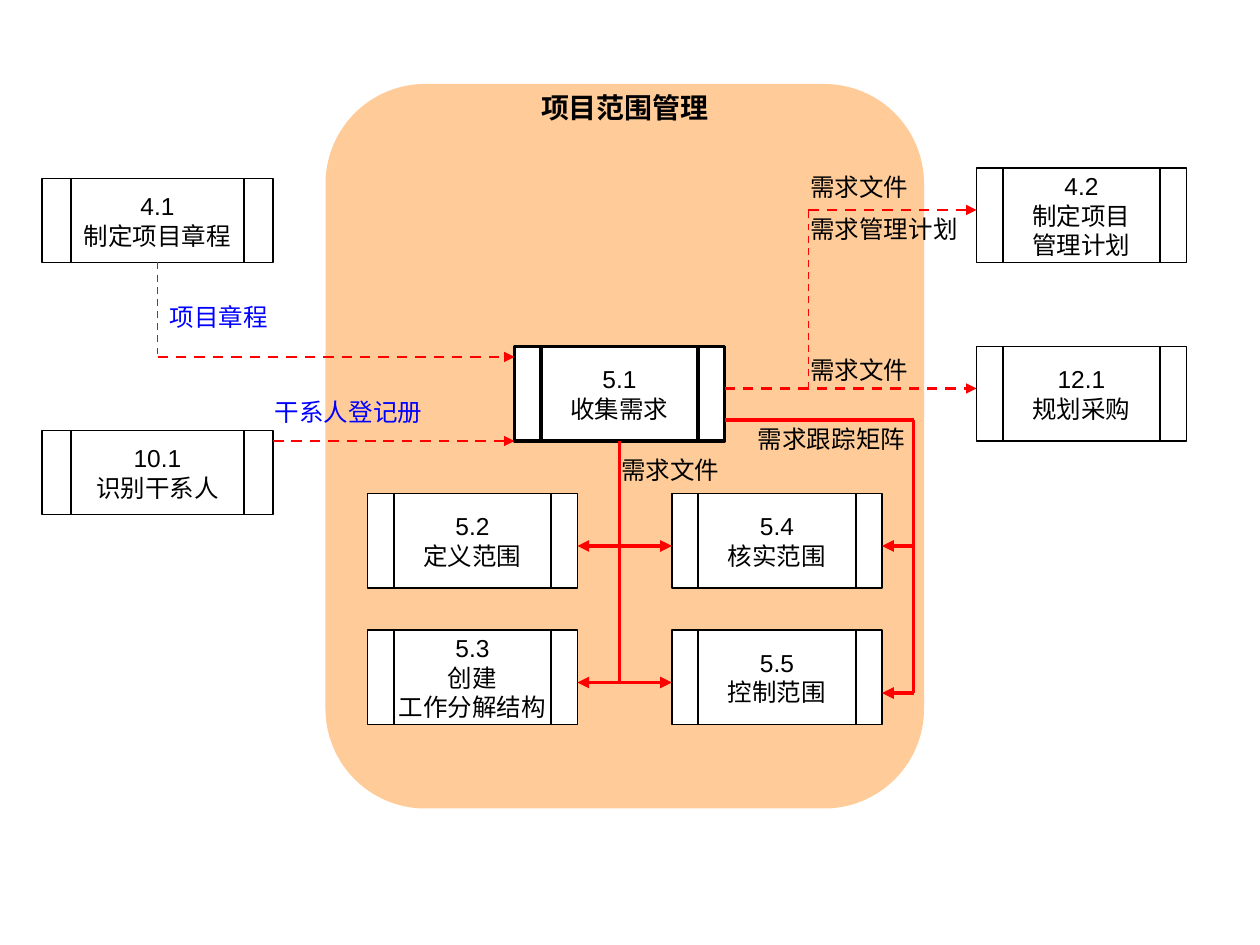
from dataclasses import dataclass
from typing import NamedTuple

from lxml.etree import SubElement
from pptx import Presentation
from pptx.dml.color import RGBColor
from pptx.enum.dml import MSO_LINE
from pptx.enum.shapes import MSO_CONNECTOR, MSO_SHAPE
from pptx.enum.text import MSO_ANCHOR, MSO_AUTO_SIZE, PP_ALIGN
from pptx.oxml.ns import qn
from pptx.slide import Slide
from pptx.text.text import _Paragraph
from pptx.util import Emu, Pt

EMU_PER_PX = 7620


@dataclass(frozen=True)
class Theme:
    font: str = "Arial"
    ink: RGBColor = RGBColor(0x00, 0x00, 0x00)
    paper: RGBColor = RGBColor(0xFF, 0xFF, 0xFF)
    panel: RGBColor = RGBColor(0xFF, 0xCC, 0x99)
    flow: RGBColor = RGBColor(0xFF, 0x00, 0x00)
    input: RGBColor = RGBColor(0x00, 0x00, 0xFF)
    title_size: int = 16
    body_size: int = 14


THEME = Theme()


class Box(NamedTuple):
    left: int
    top: int
    width: int
    height: int


class Process(NamedTuple):
    box: Box
    lines: tuple[str, ...]
    border: int = 1


class Flow(NamedTuple):
    start: tuple[int, int]
    end: tuple[int, int]
    weight: float
    dashed: bool = False
    start_arrow: bool = False
    end_arrow: bool = False


class Label(NamedTuple):
    left: int
    top: int
    text: str
    color: RGBColor = THEME.ink


def px(length: int) -> Emu:
    return Emu(length * EMU_PER_PX)


def inner(left: int, top: int) -> Box:
    return Box(left, top, 200, 90)


def outer(left: int, top: int) -> Box:
    return Box(left, top, 220, 80)


SCOPE_PANEL = Box(310, 80, 570, 690)
TITLE_BOX = Box(460, 80, 270, 44)
LEFT_COLUMN, RIGHT_COLUMN, UPPER_ROW, LOWER_ROW = 350, 640, 470, 600

PROCESSES = (
    Process(inner(930, 160), ("4.2", "制定项目", "管理计划")),
    Process(inner(930, 330), ("12.1", "规划采购")),
    Process(inner(490, 330), ("5.1", "收集需求"), border=2),
    Process(inner(LEFT_COLUMN, UPPER_ROW), ("5.2", "定义范围")),
    Process(inner(LEFT_COLUMN, LOWER_ROW), ("5.3", "创建", "工作分解结构")),
    Process(inner(RIGHT_COLUMN, UPPER_ROW), ("5.4", "核实范围")),
    Process(inner(RIGHT_COLUMN, LOWER_ROW), ("5.5", "控制范围")),
    Process(outer(40, 170), ("4.1", "制定项目章程")),
    Process(outer(40, 410), ("10.1", "识别干系人")),
)

FLOWS = (
    Flow((150, 250), (150, 340), 1, dashed=True),
    Flow((150, 340), (490, 340), 1.5, dashed=True, end_arrow=True),
    Flow((260, 420), (490, 420), 1.5, dashed=True, end_arrow=True),
    Flow((590, 420), (590, 650), 2.25),
    Flow((550, 650), (640, 650), 2.25, start_arrow=True, end_arrow=True),
    Flow((550, 520), (640, 520), 2.25, start_arrow=True, end_arrow=True),
    Flow((690, 370), (930, 370), 1.5, dashed=True, end_arrow=True),
    Flow((770, 370), (770, 200), 1, dashed=True),
    Flow((770, 200), (930, 200), 1.5, dashed=True, end_arrow=True),
    Flow((690, 400), (870, 400), 2.25),
    Flow((870, 400), (870, 660), 2.25),
    Flow((870, 660), (840, 660), 2.25, end_arrow=True),
    Flow((870, 520), (840, 520), 2.25, end_arrow=True),
)

LABELS = (
    Label(150, 294, "项目章程", THEME.input),
    Label(250, 384, "干系人登记册", THEME.input),
    Label(760, 170, "需求文件"),
    Label(760, 344, "需求文件"),
    Label(760, 210, "需求管理计划"),
    Label(580, 440, "需求文件"),
    Label(710, 410, "需求跟踪矩阵"),
)


def add_run(paragraph: _Paragraph, text: str, color: RGBColor, size: int, bold: bool = False) -> None:
    run = paragraph.add_run()
    run.text = text
    run.font.name = THEME.font
    run.font.size = Pt(size)
    run.font.bold = bold
    run.font.color.rgb = color


def draw_panel(slide: Slide) -> None:
    panel = slide.shapes.add_shape(MSO_SHAPE.ROUNDED_RECTANGLE, *map(px, SCOPE_PANEL))
    panel.shadow.inherit = False
    panel.fill.solid()
    panel.fill.fore_color.rgb = THEME.panel
    panel.line.fill.background()


def add_text_box(slide: Slide, box: Box) -> _Paragraph:
    frame = slide.shapes.add_textbox(*map(px, box)).text_frame
    frame.word_wrap = True
    frame.auto_size = MSO_AUTO_SIZE.SHAPE_TO_FIT_TEXT
    return frame.paragraphs[0]


def draw_title(slide: Slide) -> None:
    title = add_text_box(slide, TITLE_BOX)
    title.alignment = PP_ALIGN.CENTER
    add_run(title, "项目范围管理", THEME.ink, THEME.title_size, bold=True)


def draw_process(slide: Slide, process: Process) -> None:
    step = slide.shapes.add_shape(MSO_SHAPE.FLOWCHART_PREDEFINED_PROCESS, *map(px, process.box))
    step.shadow.inherit = False
    step.fill.solid()
    step.fill.fore_color.rgb = THEME.paper
    step.line.color.rgb = THEME.ink
    step.line.width = Pt(process.border)
    frame = step.text_frame
    frame.word_wrap = False
    frame.vertical_anchor = MSO_ANCHOR.MIDDLE
    for index, text in enumerate(process.lines):
        paragraph = frame.add_paragraph() if index else frame.paragraphs[0]
        paragraph.alignment = PP_ALIGN.CENTER
        add_run(paragraph, text, THEME.ink, THEME.body_size)


def draw_flow(slide: Slide, flow: Flow) -> None:
    connector = slide.shapes.add_connector(MSO_CONNECTOR.STRAIGHT, *map(px, flow.start + flow.end))
    line = connector.line
    line.color.rgb = THEME.flow
    line.width = Pt(flow.weight)
    if flow.dashed:
        line.dash_style = MSO_LINE.DASH
    properties = connector._element.spPr
    outline = properties.find(qn("a:ln"))
    for shown, tag in ((flow.start_arrow, "a:headEnd"), (flow.end_arrow, "a:tailEnd")):
        if shown:
            SubElement(outline, qn(tag), type="triangle")
    SubElement(properties, qn("a:effectLst"))


def draw_label(slide: Slide, label: Label) -> None:
    paragraph = add_text_box(slide, Box(label.left, label.top, 180, 26))
    paragraph.line_spacing = 0.5
    add_run(paragraph, label.text, label.color, THEME.body_size)


def main() -> None:
    presentation = Presentation()
    presentation.slide_width, presentation.slide_height = px(1200), px(900)
    slide = presentation.slides.add_slide(presentation.slide_layouts[6])
    draw_panel(slide)
    draw_title(slide)
    for process in PROCESSES:
        draw_process(slide, process)
    for flow in FLOWS:
        draw_flow(slide, flow)
    for label in LABELS:
        draw_label(slide, label)
    presentation.save("out.pptx")


if __name__ == "__main__":
    main()
